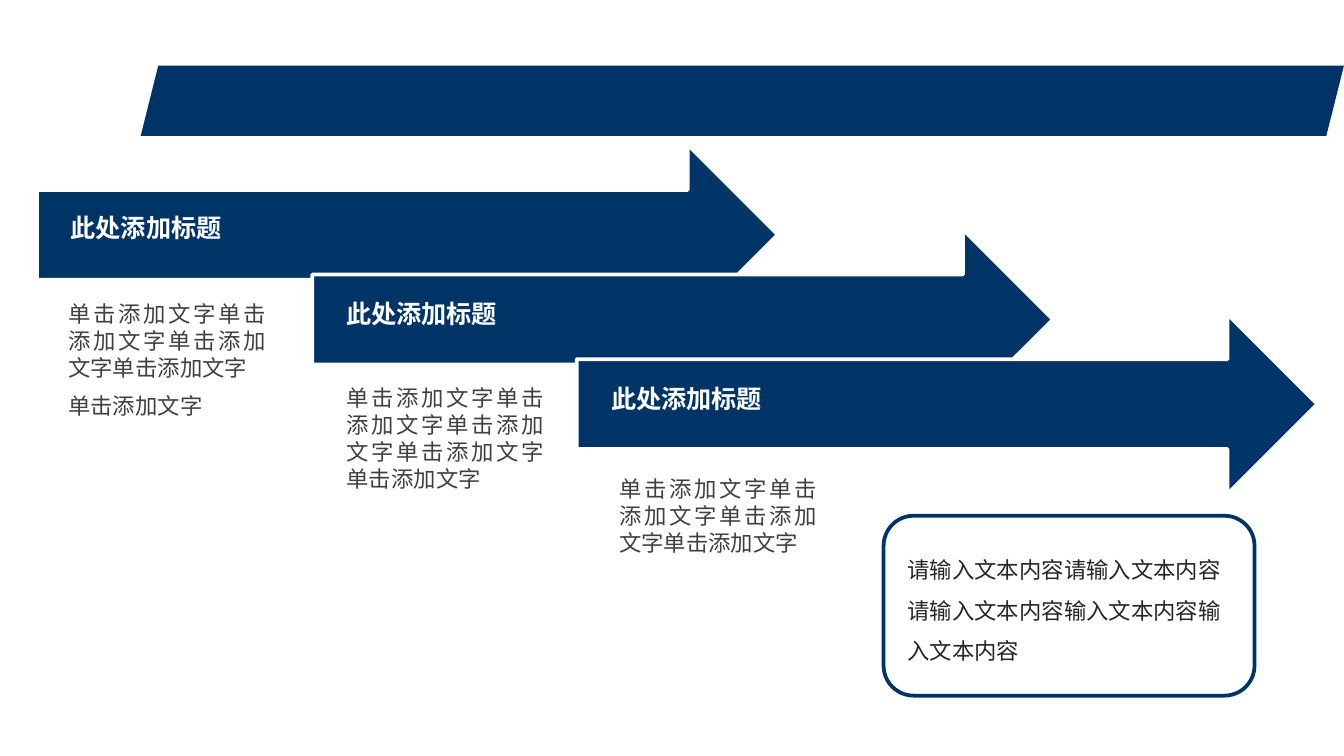
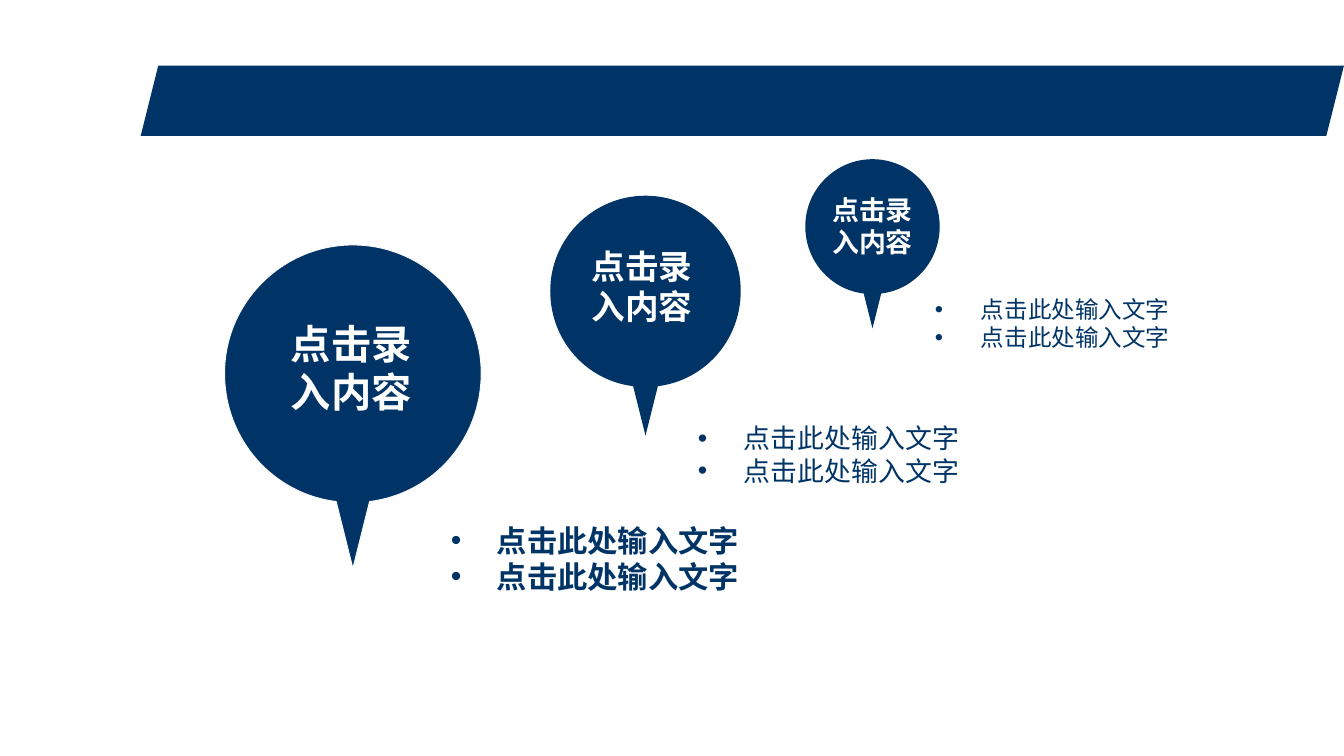
"""Build two template slides: staggered arrows and shrinking map pins."""
from lxml import etree
from pptx import Presentation
from pptx.dml.color import RGBColor
from pptx.enum.shapes import MSO_SHAPE
from pptx.enum.text import MSO_AUTO_SIZE, PP_ALIGN
from pptx.oxml.ns import qn
from pptx.util import Cm, Pt

NAVY, WHITE, BODY_GREY, CALLOUT_GREY = "003466", "FFFFFF", "404040", "262626"
FONT = "Noto Sans CJK SC"
BAND, ARROW = MSO_SHAPE.PARALLELOGRAM, MSO_SHAPE.RIGHT_ARROW
ROUNDED = MSO_SHAPE.ROUNDED_RECTANGLE
CENTER, JUSTIFY = PP_ALIGN.CENTER, PP_ALIGN.JUSTIFY
FIT = MSO_AUTO_SIZE.SHAPE_TO_FIT_TEXT

PAGE_SIZE = (25.4, 14.29)
BAND_BOX = (2.66, 1.24, 22.74, 1.33)

ARROW_TITLE = "此处添加标题"
ARROW_TOP, ARROW_STEP = 2.74, 1.6
ARROW_SIZE = (14, 3.4)
PHRASE = "单击添加文字"
STEPS = [
    {"left": 0.7, "title": (1.09, 3.88, 4.8, 1.02),
     "body": (1.04, 5.55, 4.24, 2.51), "text": [PHRASE * 4, PHRASE]},
    {"left": 5.9, "title": (6.3, 5.52, 4.8, 1.02),
     "body": (6.3, 7.14, 4.24, 2.31), "text": [PHRASE * 5]},
    {"left": 10.9, "title": (11.3, 7.12, 4.8, 1.02),
     "body": (11.45, 8.86, 4.24, 1.8), "text": [PHRASE * 4]},
]
CALLOUT_BOX = (16.7, 9.75, 7.01, 3.4)
CALLOUT_TEXT_BOX = (16.9, 10.14, 6.6, 2.46)
CALLOUT = "请输入文本内容请输入文本内容请输入文本内容输入文本内容输入文本内容"

PIN_LABEL = ["点击录", "入内容"]
PIN_ITEMS = ["点击此处输入文字"] * 2
PIN_RIGHT = [(0.55, -1), (1, -0.55), (1, 0), (1, 0.52), (0.62, 0.94), (0.13, 1)]
PIN_TIP = (0, 1.52)
PIN_CURVES = (0, 3, 8, 11)
PINS = [
    {"center": 6.67, "top": 4.63, "diameter": 4.85, "line": "FCFCFC",
     "label": (5.23, 5.91, 2.82, 2.11), "label_size": 21.6,
     "items": (8.27, 9.74, 6.02, 1.65), "item_size": 16.2, "bold": True},
    {"center": 12.2, "top": 3.7, "diameter": 3.6, "line": None,
     "label": (10.91, 4.52, 2.44, 1.8), "label_size": 18,
     "items": (12.94, 7.85, 5.49, 1.5), "item_size": 14.4, "bold": False},
    {"center": 16.49, "top": 3.01, "diameter": 2.54, "line": None,
     "label": (15.46, 3.53, 2.06, 1.5), "label_size": 14.4,
     "items": (17.42, 5.45, 4.98, 1.35), "item_size": 12.6, "bold": False},
]


def color(value):
    return RGBColor.from_string(value)


def paint(shape, fill=None, line=None, width=2):
    shape.shadow.inherit = False
    if fill:
        shape.fill.solid()
        shape.fill.fore_color.rgb = color(fill)
    else:
        shape.fill.background()
    if line:
        shape.line.color.rgb = color(line)
        shape.line.width = Pt(width)
    else:
        shape.line.fill.background()


def add_block(page, kind, box, **style):
    paint(page.shapes.add_shape(kind, *map(Cm, box)), **style)


def add_bullet(para):
    properties = para._p.get_or_add_pPr()
    for name, value in {"marL": Cm(0.87), "indent": -Cm(0.87)}.items():
        properties.set(name, str(value))
    etree.SubElement(properties, qn("a:buFont")).set("typeface", "Arial")
    etree.SubElement(properties, qn("a:buChar")).set("char", "•")


def add_text(page, box, lines, size, ink, bold=False, wrap=True, bullet=False,
             **layout):
    frame = page.shapes.add_textbox(*map(Cm, box)).text_frame
    frame.word_wrap = wrap
    frame.auto_size = FIT
    for index, line in enumerate(lines):
        para = frame.add_paragraph() if index else frame.paragraphs[0]
        if bullet:
            add_bullet(para)
        for name, value in layout.items():
            setattr(para, name, value)
        span = para.add_run()
        span.text = line
        for name, value in {"name": FONT, "size": Pt(size), "bold": bold}.items():
            setattr(span.font, name, value)
        span.font.color.rgb = color(ink)
        etree.SubElement(span._r.get_or_add_rPr(), qn("a:ea")).set("typeface", FONT)


def add_page(deck):
    page = deck.slides.add_slide(deck.slide_layouts[6])
    add_block(page, BAND, BAND_BOX, fill=NAVY)
    return page


def bend_lines(shape, starts):
    """Turn each run of three line segments into one cubic curve."""
    lines = list(shape._element.iter(qn("a:lnTo")))
    for start in starts:
        first, *others = lines[start:start + 3]
        first.tag = qn("a:cubicBezTo")
        for other in others:
            first.append(other[0])
            other.getparent().remove(other)


def add_pin(page, pin):
    group = page.shapes.add_group_shape()
    radius = pin["diameter"] / 2
    mirrored = [(-x, y) for x, y in reversed(PIN_RIGHT)]
    outline = [(0, -1), *PIN_RIGHT, PIN_TIP, *mirrored, (0, -1)]
    points = [(Cm(pin["center"] + x * radius), Cm(pin["top"] + (y + 1) * radius))
              for x, y in outline]
    builder = group.shapes.build_freeform(*points[0])
    builder.add_line_segments(points[1:], close=True)
    shape = builder.convert_to_shape()
    bend_lines(shape, PIN_CURVES)
    paint(shape, NAVY, pin["line"], 0.5)
    add_text(group, pin["label"], PIN_LABEL, pin["label_size"], WHITE, bold=True,
             wrap=False, alignment=CENTER)


def build_arrows(deck):
    page = add_page(deck)
    for index, step in enumerate(STEPS):
        box = (step["left"], ARROW_TOP + index * ARROW_STEP, *ARROW_SIZE)
        add_block(page, ARROW, box, fill=NAVY, line=WHITE)
    for step in STEPS:
        add_text(page, step["title"], [ARROW_TITLE], 13.5, WHITE, bold=True)
        add_text(page, step["body"], step["text"], 12, BODY_GREY,
                 alignment=JUSTIFY, space_after=Pt(6))
    add_block(page, ROUNDED, CALLOUT_BOX, line=NAVY)
    add_text(page, CALLOUT_TEXT_BOX, [CALLOUT], 12, CALLOUT_GREY, line_spacing=1.5)


def build_pins(deck):
    page = add_page(deck)
    for pin in PINS:
        add_text(page, pin["items"], PIN_ITEMS, pin["item_size"], NAVY,
                 bold=pin["bold"], wrap=False, bullet=True)
    for pin in PINS:
        add_pin(page, pin)


def main():
    deck = Presentation()
    deck.slide_width, deck.slide_height = map(Cm, PAGE_SIZE)
    build_arrows(deck)
    build_pins(deck)
    deck.save("out.pptx")


if __name__ == "__main__":
    main()
